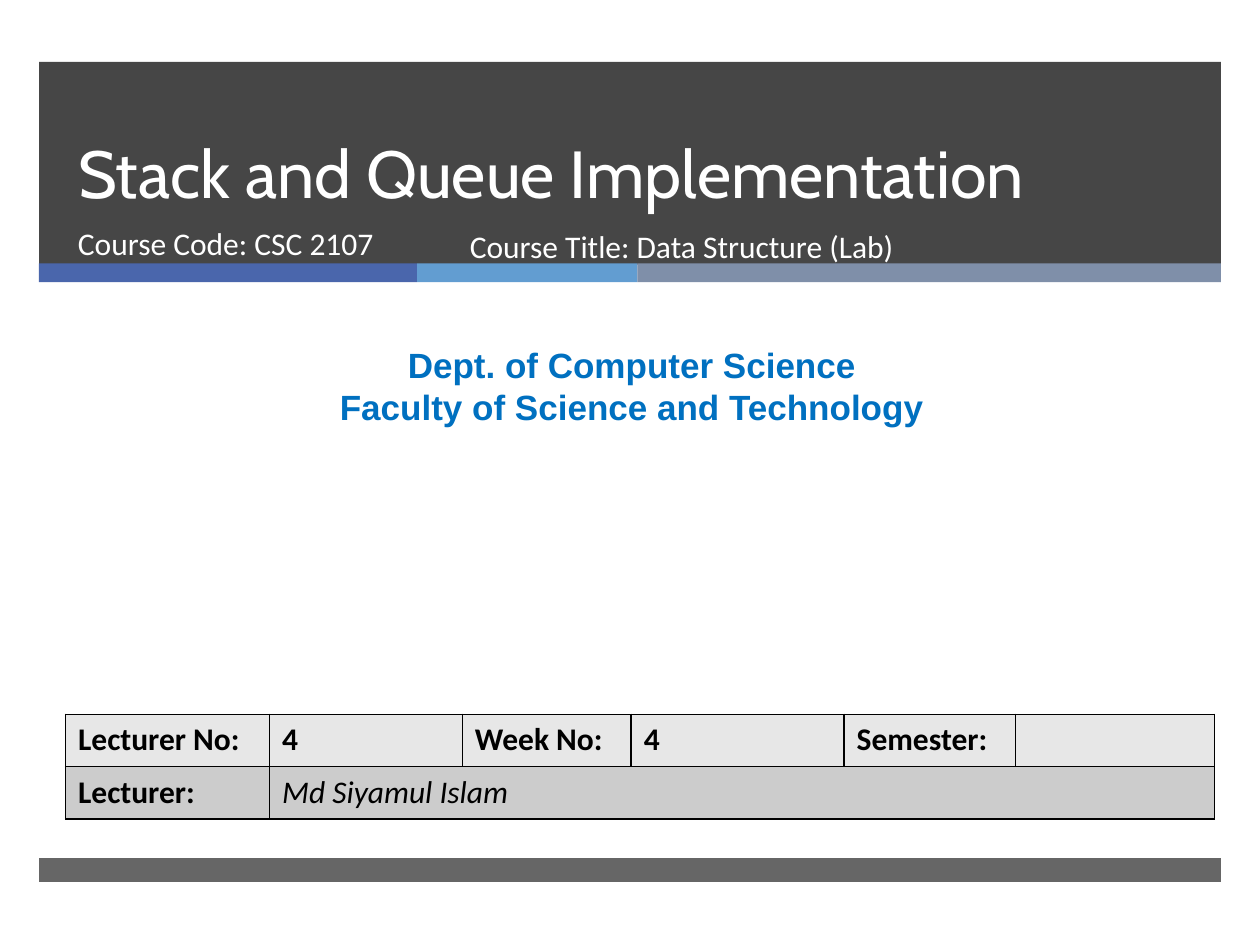
from lxml.etree import SubElement
from pptx import Presentation
from pptx.dml.color import RGBColor
from pptx.enum.shapes import MSO_SHAPE as Shape
from pptx.enum.text import MSO_ANCHOR as Anchor, PP_ALIGN as Align
from pptx.oxml.ns import qn
from pptx.util import Inches, Pt

WHITE = RGBColor(0xFF, 0xFF, 0xFF)
BLACK = RGBColor(0x00, 0x00, 0x00)
CHARCOAL = RGBColor(0x26, 0x26, 0x26)
HEADING_BLUE = RGBColor(0x00, 0x70, 0xC0)
STRIPE_COLOURS = (RGBColor(0x4A, 0x66, 0xAC), RGBColor(0x62, 0x9D, 0xD1),
                  RGBColor(0x7F, 0x8F, 0xA9))
ROW_FILLS = (RGBColor(0xE7, 0xE7, 0xE7), RGBColor(0xCC, 0xCC, 0xCC))

PAGE_WIDTH, PAGE_HEIGHT = 10, 7.5
BAND_LEFT, BAND_WIDTH = 0.31, 9.38
TEXT_LEFT = 0.52
STRIPE_WIDTHS = (3, 1.75, 4.63)
COLUMN_WIDTHS = (1.62, 1.53, 1.34, 1.69, 1.36, 1.58)
DETAILS = (("Lecturer No:", "4", "Week No:", "4", "Semester:", ""),
           ("Lecturer:", "Md Siyamul Islam"))


def set_font(para, name, size, colour, bold=False, italic=False):
    font = para.font
    font.name, font.size = name, Pt(size)
    font.bold, font.italic = bold, italic
    font.color.rgb = colour


def add_bar(page, box, colour, opacity=100):
    bar = page.shapes.add_shape(Shape.RECTANGLE, *map(Inches, box))
    bar.shadow.inherit = False
    bar.line.fill.background()
    bar.fill.solid()
    bar.fill.fore_color.rgb = colour
    if opacity < 100:
        tint = bar.fill._xPr.find(".//" + qn("a:srgbClr"))
        SubElement(tint, qn("a:alpha"), val=str(opacity * 1000))


def add_text(page, box, lines, name, size, colour, bold=False, align=Align.LEFT):
    frame = page.shapes.add_textbox(*map(Inches, box)).text_frame
    frame.word_wrap = True
    frame.text = "\n".join(lines)
    for para in frame.paragraphs:
        para.alignment = align
        set_font(para, name, size, colour, bold)


def add_header(page, box):
    left, top, width, height = box
    add_bar(page, box, CHARCOAL, 85)

    # Three-colour stripe along the foot of the band
    stripe_left = left
    for stripe_width, colour in zip(STRIPE_WIDTHS, STRIPE_COLOURS):
        add_bar(page, (stripe_left, top + height - 0.01, stripe_width, 0.15), colour)
        stripe_left += stripe_width

    # Title, brought in front of the band
    title = page.shapes.title
    title.element.getparent().append(title.element)
    title.left, title.top = Inches(TEXT_LEFT), Inches(top + 0.05)
    title.width, title.height = Inches(8.54), Inches(1.19)
    frame = title.text_frame
    frame.text = "Stack and Queue Implementation"
    frame.vertical_anchor = Anchor.BOTTOM
    para = frame.paragraphs[0]
    para.alignment = Align.LEFT
    para.line_spacing = Pt(46)
    set_font(para, "Cabin", 38, WHITE)

    # Course details
    add_text(page, (TEXT_LEFT, top + 1.24, 3.05, 0.53),
             ["Course Code: CSC 2107"], "Calibri", 18, WHITE)
    add_text(page, (3.63, top + 1.26, 4.55, 0.53),
             ["Course Title: Data Structure (Lab)"], "Calibri", 18, WHITE)


def add_borders(cell):
    properties = cell._tc.get_or_add_tcPr()
    for position, side in enumerate(("lnL", "lnR", "lnT", "lnB")):
        line = SubElement(properties, qn("a:" + side), w=str(Pt(1)))
        properties.insert(position, line)
        fill = SubElement(line, qn("a:solidFill"))
        SubElement(fill, qn("a:srgbClr"), val=str(BLACK))


def add_details(page, box):
    rows, columns = len(DETAILS), len(COLUMN_WIDTHS)
    table = page.shapes.add_table(rows, columns, *map(Inches, box)).table
    for column, width in zip(table.columns, COLUMN_WIDTHS):
        column.width = Inches(width)
    for row, (words, colour) in enumerate(zip(DETAILS, ROW_FILLS)):
        for column in range(columns):
            cell = table.cell(row, column)
            cell.fill.solid()
            cell.fill.fore_color.rgb = colour
            add_borders(cell)
            if column < len(words):
                cell.text = words[column]
            is_name = row == 1 and column == 1
            set_font(cell.text_frame.paragraphs[0], "Calibri", 18, BLACK,
                     bold=not is_name, italic=is_name)
    table.cell(1, 1).merge(table.cell(1, columns - 1))


def main():
    deck = Presentation()
    deck.slide_width, deck.slide_height = Inches(PAGE_WIDTH), Inches(PAGE_HEIGHT)
    page = deck.slides.add_slide(deck.slide_layouts[5])

    add_header(page, (BAND_LEFT, 0.49, BAND_WIDTH, 1.61))
    add_text(page, (0.08, 2.68, 9.87, 0.77),
             ["Dept. of Computer Science", "Faculty of Science and Technology"],
             "Arial", 20, HEADING_BLUE, bold=True, align=Align.CENTER)
    add_details(page, (TEXT_LEFT, 5.67, sum(COLUMN_WIDTHS), 0.83))
    # Footer bar
    add_bar(page, (BAND_LEFT, 6.81, BAND_WIDTH, 0.19), CHARCOAL, 70)

    deck.save("out.pptx")


if __name__ == "__main__":
    main()
